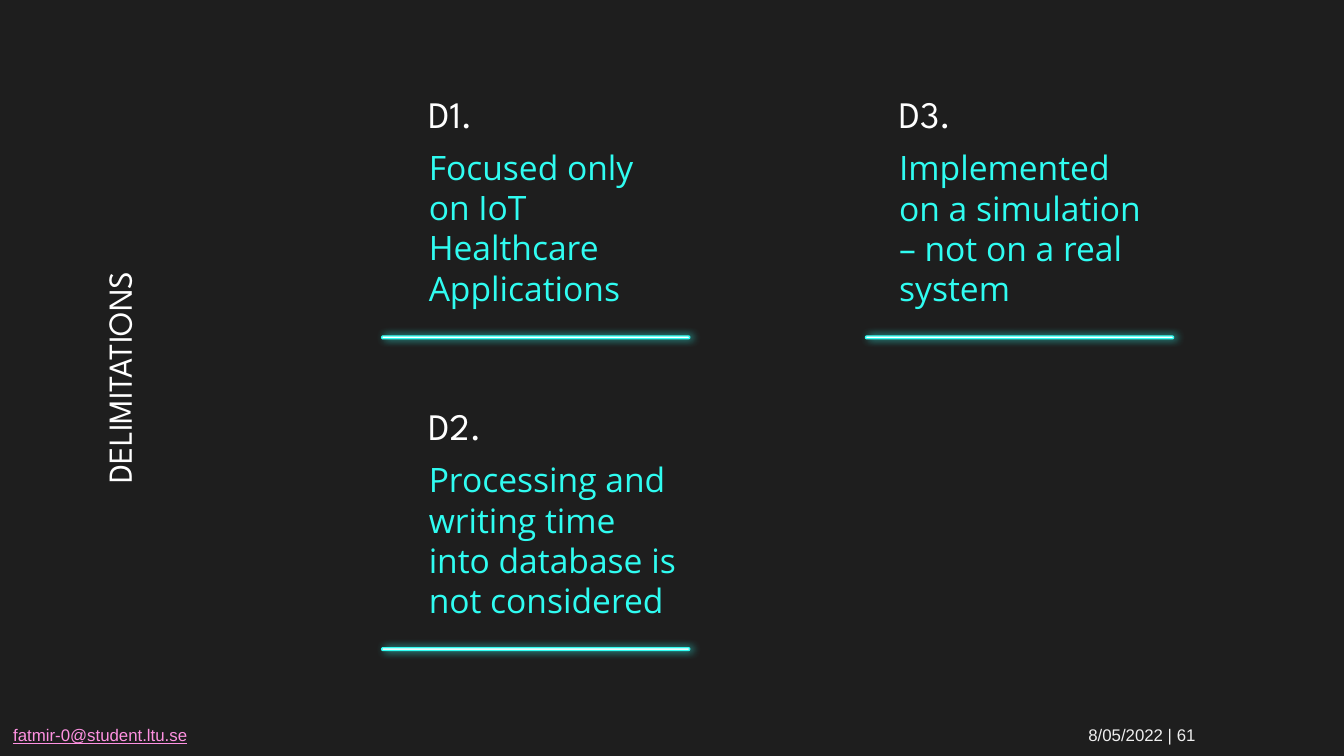
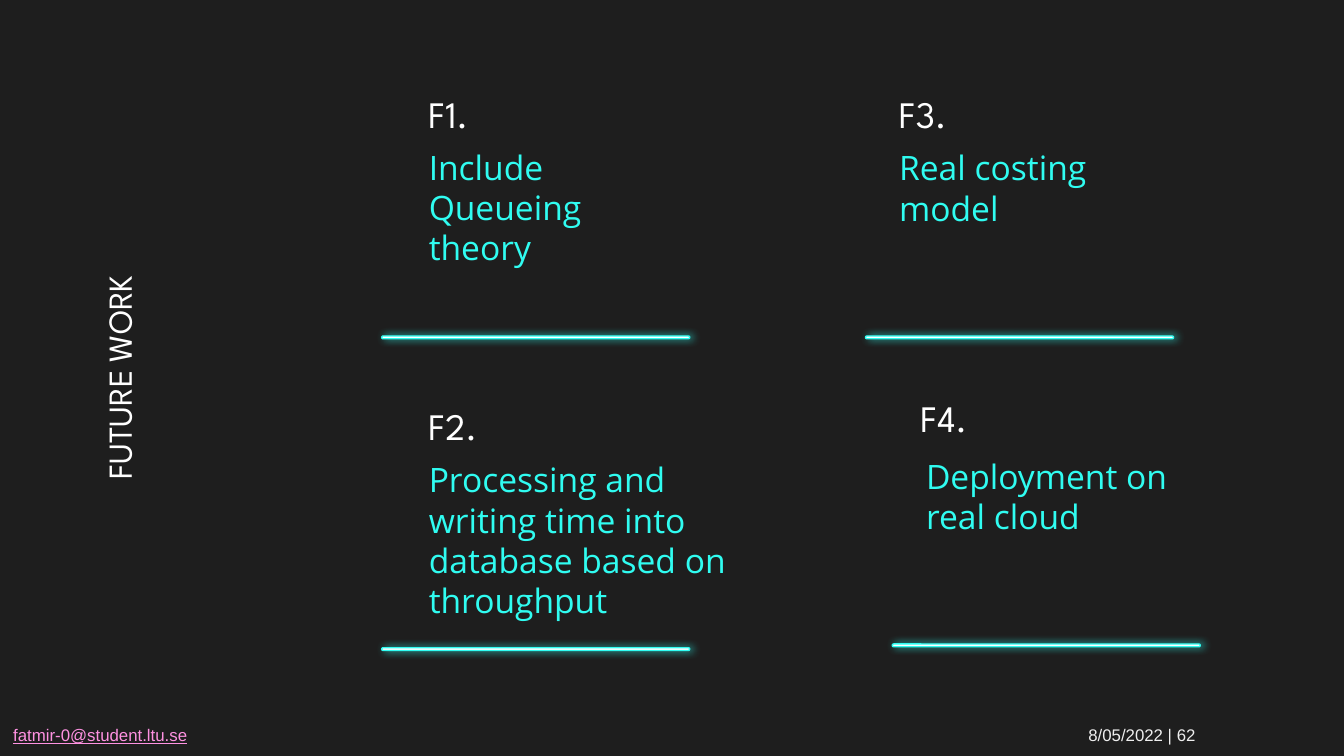
"""Build two card slides, delimitations and future work, on a dark ground."""
from dataclasses import dataclass
from typing import NamedTuple

from lxml import etree
from pptx import Presentation
from pptx.dml.color import RGBColor
from pptx.enum import shapes, text
from pptx.oxml import ns
from pptx.slide import Slide
from pptx.text import text as tx
from pptx.util import Pt


@dataclass(frozen=True)
class Theme:
    """Colours, fonts and type sizes."""
    ground: str = "1E1E1E"
    white: str = "FFFFFF"
    glow: str = "30FCF1"
    pink: str = "FF92E2"
    pale: str = "EEEEEE"
    display: str = "League Spartan"
    sans: str = "Open Sans"
    plain: str = "Arial"
    title: float = 18
    label: float = 20
    body: float = 18
    foot: float = 9
    pitch: float = 21.6


class Spot(NamedTuple):
    """Left and top of a card's label, body and rule."""
    label: tuple[float, float]
    body: tuple[float, float]
    rule: tuple[float, float]


class Card(NamedTuple):
    """One point with its text and body width."""
    words: str
    width: float = 150


class Page(NamedTuple):
    """One slide: title, label letter, number and cards."""
    title: str
    letter: str
    number: int
    cards: list[Card]


THEME = Theme()
STEP = 167.5
LEFT, RIGHT = 222.5, 474.5
SPOTS = [
    Spot((LEFT, 34.5), (LEFT, 71.3), (204.5, 180)),
    Spot((LEFT, 34.5 + STEP), (LEFT, 71.3 + STEP), (204.5, 347)),
    Spot((RIGHT, 34.5), (RIGHT, 71.6), (463.7, 180)),
    Spot((486, 197.3), (488.9, 236.9), (478, 345)),
]
PAGES = [
    Page("DELIMITATIONS", "D", 61, [
        Card("Focused only on IoT Healthcare Applications"),
        Card("Processing and writing time into database is not considered"),
        Card("Implemented on a simulation – not on a real system", 145.5),
    ]),
    Page("FUTURE WORK", "F", 62, [
        Card("Include Queueing theory"),
        Card("Processing and writing time into database based on throughput", 201.6),
        Card("Real costing model", 145.5),
        Card("Deployment on real cloud", 145.5),
    ]),
]


def place(shape, left: float, top: float, width: float, height: float) -> None:
    """Move and size a shape in points."""
    shape.left, shape.top = Pt(left), Pt(top)
    shape.width, shape.height = Pt(width), Pt(height)


def frame(shape, anchor: text.MSO_ANCHOR) -> tx.TextFrame:
    """Set wrapping, anchor and equal insets on a text frame."""
    box = shape.text_frame
    box.word_wrap = True
    box.auto_size = text.MSO_AUTO_SIZE.NONE
    box.vertical_anchor = anchor
    box.margin_left = box.margin_right = Pt(7.2)
    box.margin_top = box.margin_bottom = Pt(7.2)
    return box


def write(par, words: str, font: str, size: float, color: str) -> tx._Run:
    """Add one styled run."""
    run = par.add_run()
    run.text = words
    run.font.name, run.font.size = font, Pt(size)
    run.font.bold = False
    run.font.color.rgb = RGBColor.from_string(color)
    return run


def head(slide: Slide, words: str) -> None:
    """Turn the title upright along the left edge."""
    shape = slide.shapes.title
    place(shape, -80.6, 177.1, 288, 50.4)
    shape.rotation = 270
    par = frame(shape, text.MSO_ANCHOR.MIDDLE).paragraphs[0]
    par.alignment = text.PP_ALIGN.CENTER
    write(par, words, THEME.display, THEME.title, THEME.white)


def label(slide: Slide, words: str, at: tuple[float, float]) -> None:
    """Write a card's label."""
    shape = slide.shapes.add_textbox(Pt(at[0]), Pt(at[1]), Pt(150), Pt(45.4))
    par = frame(shape, text.MSO_ANCHOR.BOTTOM).paragraphs[0]
    write(par, words, THEME.display, THEME.label, THEME.white)


def body(shape, card: Card, at: tuple[float, float]) -> None:
    """Fill a body placeholder with a card's text."""
    place(shape, *at, card.width, 54.5)
    par = frame(shape, text.MSO_ANCHOR.TOP).paragraphs[0]
    props = par._p.get_or_add_pPr()
    props.set("marL", "0")
    props.set("indent", "0")
    etree.SubElement(props, ns.qn("a:buNone"))
    par.alignment = text.PP_ALIGN.LEFT
    par.space_before = Pt(0)
    par.line_spacing = Pt(THEME.pitch)
    write(par, card.words, THEME.sans, THEME.body, THEME.glow)


def rule(slide: Slide, at: tuple[float, float]) -> None:
    """Draw a glowing rule below a card."""
    bar = slide.shapes.add_shape(
        shapes.MSO_SHAPE.ROUNDED_RECTANGLE, Pt(at[0]), Pt(at[1]), Pt(165), Pt(1.5))
    bar.adjustments[0] = 0.5
    bar.fill.solid()
    bar.fill.fore_color.rgb = RGBColor.from_string(THEME.white)
    bar.line.color.rgb = RGBColor.from_string(THEME.glow)
    bar.line.width = Pt(0.75)
    bar.shadow.inherit = False
    effect = bar._element.spPr.find(ns.qn("a:effectLst"))
    shade = etree.SubElement(
        effect, ns.qn("a:outerShdw"), blurRad=str(Pt(4.5)), dist=str(Pt(1.5)),
        dir="0", algn="bl", rotWithShape="0")
    color = etree.SubElement(shade, ns.qn("a:srgbClr"), val=THEME.glow)
    etree.SubElement(color, ns.qn("a:alpha"), val="79000")


def foot(slide: Slide, number: int) -> None:
    """Write the address, date and slide number."""
    shape = slide.shapes.add_textbox(Pt(0), Pt(384.5), Pt(720), Pt(18))
    box = shape.text_frame
    box.word_wrap = True
    par = box.paragraphs[0]
    tabs = etree.SubElement(par._p.get_or_add_pPr(), ns.qn("a:tabLst"))
    etree.SubElement(tabs, ns.qn("a:tab"), pos=str(Pt(576)), algn="l")
    mail = write(par, "fatmir-0@student.ltu.se", THEME.plain, THEME.foot, THEME.pink)
    mail.font.underline = True
    write(par, f"\t8/05/2022 | {number}", THEME.plain, THEME.foot, THEME.pale)


def build(deck, page: Page) -> None:
    """Add one slide of cards."""
    slide = deck.slides.add_slide(deck.slide_layouts[4])
    slide.background.fill.solid()
    slide.background.fill.fore_color.rgb = RGBColor.from_string(THEME.ground)
    head(slide, page.title)
    slots = list(slide.placeholders)[1:]
    for count, (slot, spot, card) in enumerate(zip(slots, SPOTS, page.cards), 1):
        label(slide, f"{page.letter}{count}.", spot.label)
        body(slot, card, spot.body)
        rule(slide, spot.rule)
    for slot in slots[len(page.cards):]:
        slot._element.getparent().remove(slot._element)
    foot(slide, page.number)


def main() -> None:
    """Build and save the deck."""
    deck = Presentation()
    deck.slide_width, deck.slide_height = Pt(720), Pt(405)
    for page in PAGES:
        build(deck, page)
    deck.save("out.pptx")


if __name__ == "__main__":
    main()
